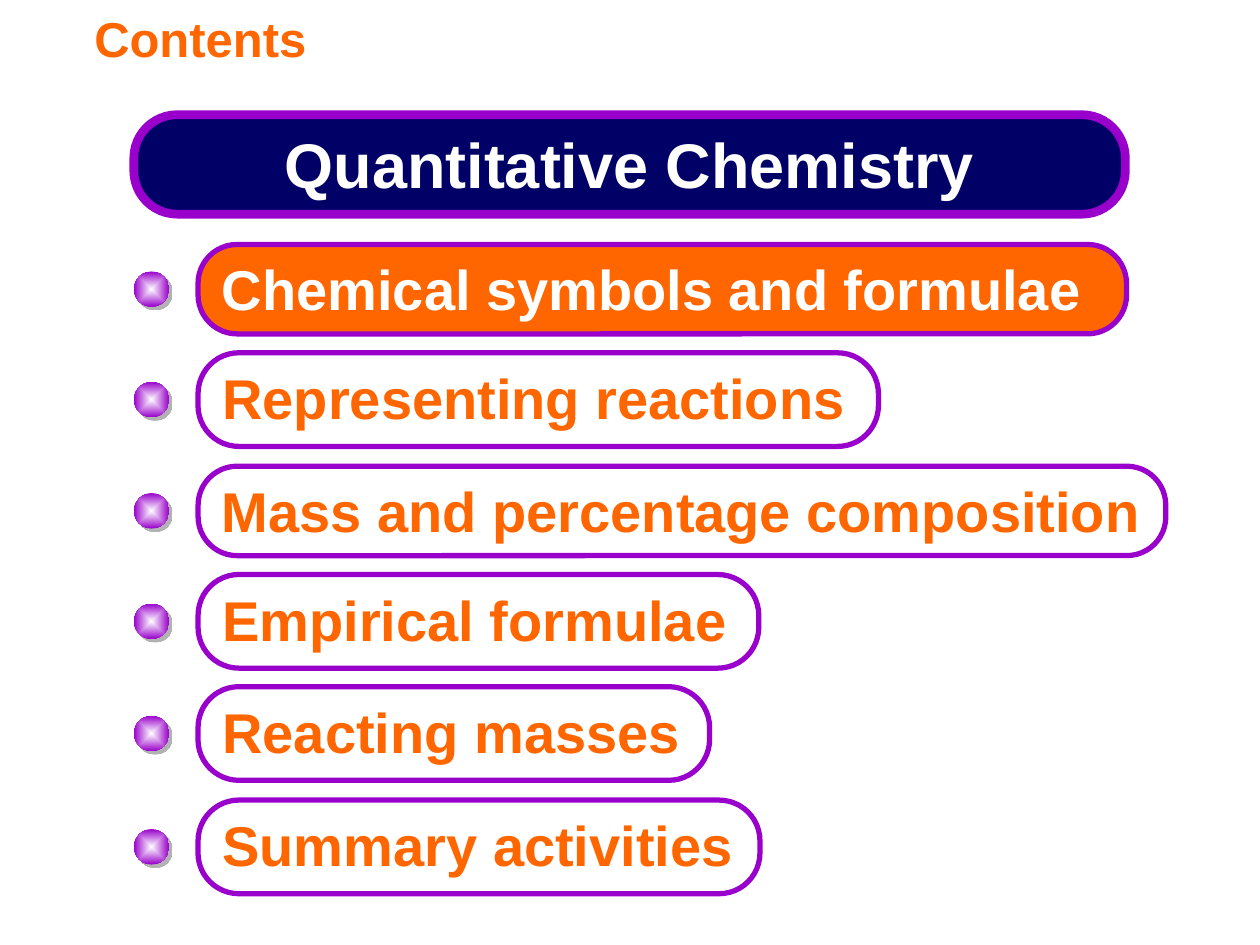
from lxml import etree
from pptx import Presentation
from pptx.dml.color import RGBColor
from pptx.enum import shapes, text
from pptx.oxml.ns import qn
from pptx.util import Pt

COLOURS = {
    "navy": "010066",
    "purple": "9900CC",
    "orange": "FF6600",
    "white": "FFFFFF",
    "grey": "B2B2B2",
}


def colour(name):
    return RGBColor.from_string(COLOURS[name])


class ContentsPage:
    """Style and drawing methods for one contents page."""

    font_name = "Arial"
    corner = 0.436
    bullet_size = 20.2

    def __init__(self, deck):
        self.page = deck.slides.add_slide(deck.slide_layouts[5])

    def set_font(self, para, size, name):
        para.font.name = self.font_name
        para.font.size = Pt(size)
        para.font.bold = True
        para.font.color.rgb = colour(name)

    def title(self, words, left, top, width, height, indent):
        box = self.page.shapes.title
        box.left, box.top, box.width, box.height = map(Pt, (left, top, width, height))
        frame = box.text_frame
        frame.text = words
        frame.margin_left = Pt(indent)
        frame.vertical_anchor = text.MSO_ANCHOR.MIDDLE
        frame.auto_size = text.MSO_AUTO_SIZE.SHAPE_TO_FIT_TEXT
        para = frame.paragraphs[0]
        para.alignment = text.PP_ALIGN.LEFT
        self.set_font(para, 28, "orange")

    def panel(self, words, left, top, width, height, size=32, fill=None,
              ink="orange", line=3, align=text.PP_ALIGN.LEFT):
        box = self.page.shapes.add_shape(
            shapes.MSO_SHAPE.ROUNDED_RECTANGLE, *map(Pt, (left, top, width, height)))
        box.adjustments[0] = self.corner
        box.shadow.inherit = False
        if fill:
            box.fill.solid()
            box.fill.fore_color.rgb = colour(fill)
        else:
            box.fill.background()
        box.line.color.rgb = colour("purple")
        box.line.width = Pt(line)
        frame = box.text_frame
        frame.word_wrap = True
        frame.margin_right = 0 if align == text.PP_ALIGN.LEFT else Pt(7.2)
        frame.vertical_anchor = text.MSO_ANCHOR.TOP
        frame.text = words
        para = frame.paragraphs[0]
        para.alignment = align
        para.line_spacing = 0.9
        # Hanging indent
        properties = para._p.get_or_add_pPr()
        properties.set("marL", str(Pt(27)))
        properties.set("indent", str(Pt(-27)))
        self.set_font(para, size, ink)

    def bullet(self, left, middle):
        size = self.bullet_size
        ball = self.page.shapes.add_shape(
            shapes.MSO_SHAPE.OVAL, *map(Pt, (left, middle - size / 2, size, size)))
        ball.line.fill.background()
        ball.shadow.inherit = False
        # Gradient from a white centre to a purple rim
        ball.fill.gradient()
        for stop, place, name in zip(ball.fill.gradient_stops, (0, 1), ("white", "purple")):
            stop.position = place
            stop.color.rgb = colour(name)
        gradient = ball._element.spPr.find(qn("a:gradFill"))
        gradient.remove(gradient.find(qn("a:lin")))
        shade = etree.SubElement(gradient, qn("a:path"), {"path": "shape"})
        etree.SubElement(shade, qn("a:fillToRect"), dict.fromkeys("ltrb", "50000"))
        # Hard grey shadow to the lower right
        effects = ball._element.spPr.find(qn("a:effectLst"))
        shadow = etree.SubElement(effects, qn("a:outerShdw"), {
            "dist": str(Pt(2.8)), "dir": "2700000", "algn": "ctr", "rotWithShape": "0"})
        etree.SubElement(shadow, qn("a:srgbClr"), {"val": COLOURS["grey"]})


def main():
    deck = Presentation()
    deck.slide_width, deck.slide_height = Pt(720), Pt(540)
    contents = ContentsPage(deck)

    # Title and heading
    contents.title("Contents", 0, 1.4, 615, 41, indent=53.9)
    contents.panel("Quantitative Chemistry", 76.5, 65.6, 566.6, 56.8, size=36,
                   fill="navy", ink="white", line=5, align=text.PP_ALIGN.CENTER)

    # Topics: words, top, width, height
    topics = [
        ("Chemical symbols and formulae", 139.7, 530.6, 51.1),
        ("Representing reactions", 201.6, 388.8, 53.5),
        ("Mass and percentage composition", 266.4, 553, 51.1),
        ("Empirical formulae", 328.3, 320.4, 53.5),
        ("Reacting masses", 392.4, 292.3, 53.5),
        ("Summary activities", 457.2, 321.1, 53.5),
    ]
    for number, (words, top, width, height) in enumerate(topics):
        current = {"fill": "orange", "ink": "white"} if number == 0 else {}
        contents.bullet(76.5, top + height / 2)
        contents.panel(words, 113.2, top, width, height, **current)

    deck.save("out.pptx")


if __name__ == "__main__":
    main()
